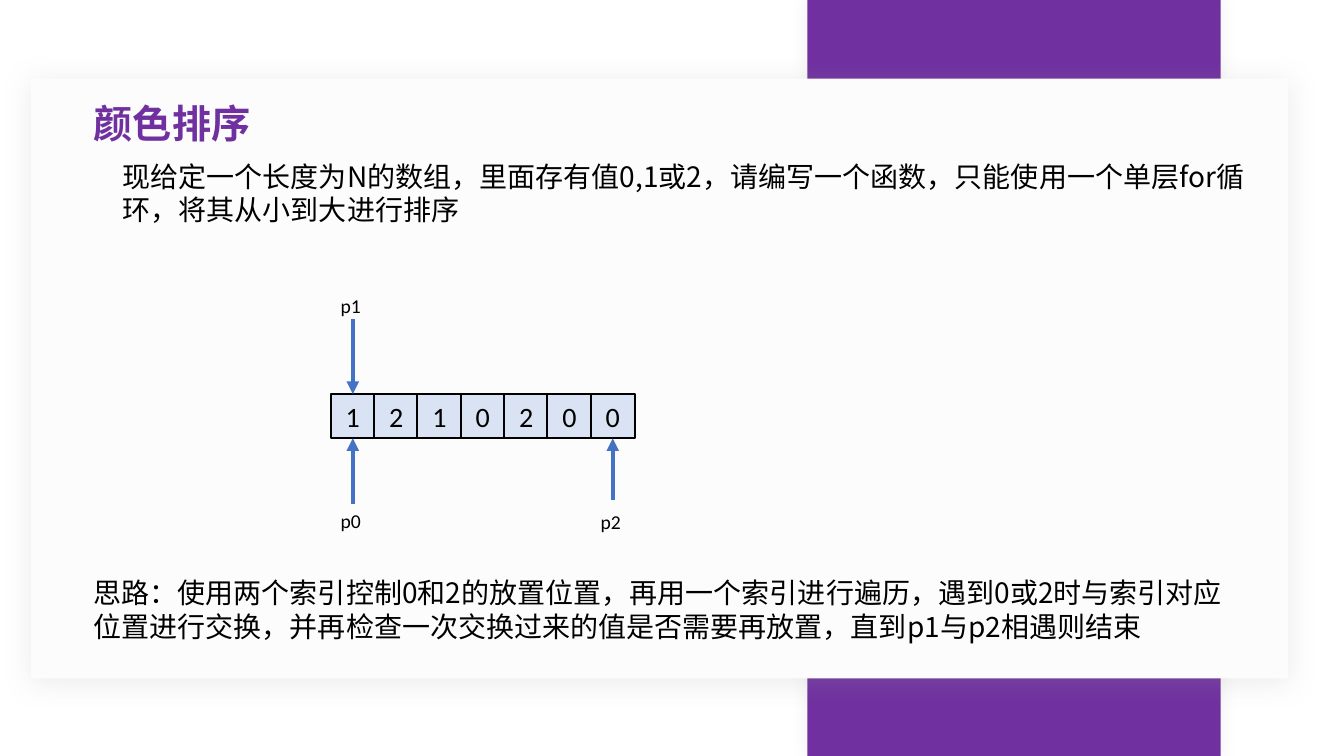
from lxml.etree import SubElement
from pptx import Presentation
from pptx.dml.color import RGBColor
from pptx.enum.shapes import MSO_CONNECTOR as Connector, MSO_SHAPE as Shape
from pptx.enum.text import MSO_ANCHOR as Anchor, MSO_AUTO_SIZE as AutoSize, PP_ALIGN as Align
from pptx.oxml.ns import qn
from pptx.util import Pt

PURPLE, BLACK, CARD, CELL, ARROW = "7030A0", "000000", "FCFCFD", "DAE3F3", "4472C4"
CJK, LATIN = "Noto Sans CJK JP", "Calibri"
TOP, BOTTOM = 0, 2


def colour(value):
    return RGBColor.from_string(value)


class SlideBuilder:
    """Draws styled elements on one slide, with all lengths in points."""

    def __init__(self, slide):
        self.slide = slide
        self.shapes = slide.shapes

    def set_text(self, shape, text, size, font, ink=BLACK, bold=False, align=Align.LEFT):
        paragraph = shape.text_frame.paragraphs[0]
        paragraph.text = text
        paragraph.alignment = align
        style = paragraph.font
        style.size, style.bold, style.name = Pt(size), bold, font
        style.color.rgb = colour(ink)
        defaults = paragraph._p.pPr.find(qn("a:defRPr"))
        SubElement(defaults, qn("a:ea"), typeface=font)

    def title(self, text, left, top, width, height):
        heading = self.shapes.title
        self.shapes._spTree.append(heading._element)
        heading.left, heading.top = Pt(left), Pt(top)
        heading.width, heading.height = Pt(width), Pt(height)
        frame = heading.text_frame
        frame.word_wrap, frame.vertical_anchor = False, Anchor.TOP
        frame.auto_size = AutoSize.SHAPE_TO_FIT_TEXT
        self.set_text(heading, text, 28, CJK, PURPLE, bold=True)

    def text(self, text, left, top, width, height, size=20, font=CJK):
        box = self.shapes.add_textbox(Pt(left), Pt(top), Pt(width), Pt(height))
        box.text_frame.word_wrap = True
        box.text_frame.auto_size = AutoSize.SHAPE_TO_FIT_TEXT
        self.set_text(box, text, size, font)

    def rectangle(self, left, top, width, height, fill):
        box = self.shapes.add_shape(Shape.RECTANGLE, Pt(left), Pt(top), Pt(width), Pt(height))
        box.shadow.inherit = False
        box.fill.solid()
        box.fill.fore_color.rgb = colour(fill)
        box.line.fill.background()
        return box

    def shadow(self, shape, tint, opacity, blur, distance, angle):
        effects = shape._element.spPr.find(qn("a:effectLst"))
        outer = SubElement(effects, qn("a:outerShdw"), blurRad=str(Pt(blur)),
                           dist=str(Pt(distance)), dir=str(angle * 60000),
                           algn="ctr", rotWithShape="0")
        shade = SubElement(outer, qn("a:srgbClr"), val=tint)
        SubElement(shade, qn("a:alpha"), val=str(opacity * 1000))

    def cell(self, value, left, top, side):
        box = self.rectangle(left, top, side, side, CELL)
        box.line.color.rgb = colour(BLACK)
        box.line.width = Pt(1.5)
        box.text_frame.vertical_anchor = Anchor.MIDDLE
        self.set_text(box, value, 20, LATIN, align=Align.CENTER)
        return box

    def pointer(self, name, cell, side, start, label_top):
        centre = cell.left + cell.width // 2
        edge = cell.top if side == TOP else cell.top + cell.height
        arrow = self.shapes.add_connector(Connector.STRAIGHT, centre, Pt(start), centre, edge)
        arrow.end_connect(cell, side)
        arrow.line.color.rgb = colour(ARROW)
        arrow.line.width = Pt(3)
        SubElement(arrow.line._get_or_add_ln(), qn("a:tailEnd"), type="triangle")
        SubElement(arrow._element.spPr, qn("a:effectLst"))
        self.text(name, cell.left.pt, label_top, cell.width.pt, 24.2, 14, LATIN)


def main():
    deck = Presentation()
    deck.slide_width, deck.slide_height = Pt(960), Pt(540)
    page = SlideBuilder(deck.slides.add_slide(deck.slide_layouts[5]))

    band = page.rectangle(576.7, 0, 295.2, 540, PURPLE)
    page.shadow(band, "D5D7D5", 40, 10, 0, 0)
    card = page.rectangle(22.3, 56.2, 897.8, 428.4, CARD)
    page.shadow(card, "969F98", 20, 20, 3, 90)

    page.title("颜色排序", 59.8, 67, 130.3, 41)
    page.text("现给定一个长度为N的数组，里面存有值0,1或2，请编写一个函数，"
              "只能使用一个单层for循环，将其从小到大进行排序", 80.6, 110.2, 828, 55.4)
    page.text("思路：使用两个索引控制0和2的放置位置，再用一个索引进行遍历，"
              "遇到0或2时与索引对应位置进行交换，并再检查一次交换过来的值是否需要再放置，"
              "直到p1与p2相遇则结束", 59.8, 407.5, 838, 55.4)

    cells = [page.cell(value, 236.2 + 30.95 * i, 281.5, 31.6)
             for i, value in enumerate("1210200")]
    page.pointer("p0", cells[0], BOTTOM, 360, 360)
    page.pointer("p2", cells[-1], BOTTOM, 357, 360.9)
    page.pointer("p1", cells[0], TOP, 228.2, 206.6)

    deck.save("out.pptx")


if __name__ == "__main__":
    main()
